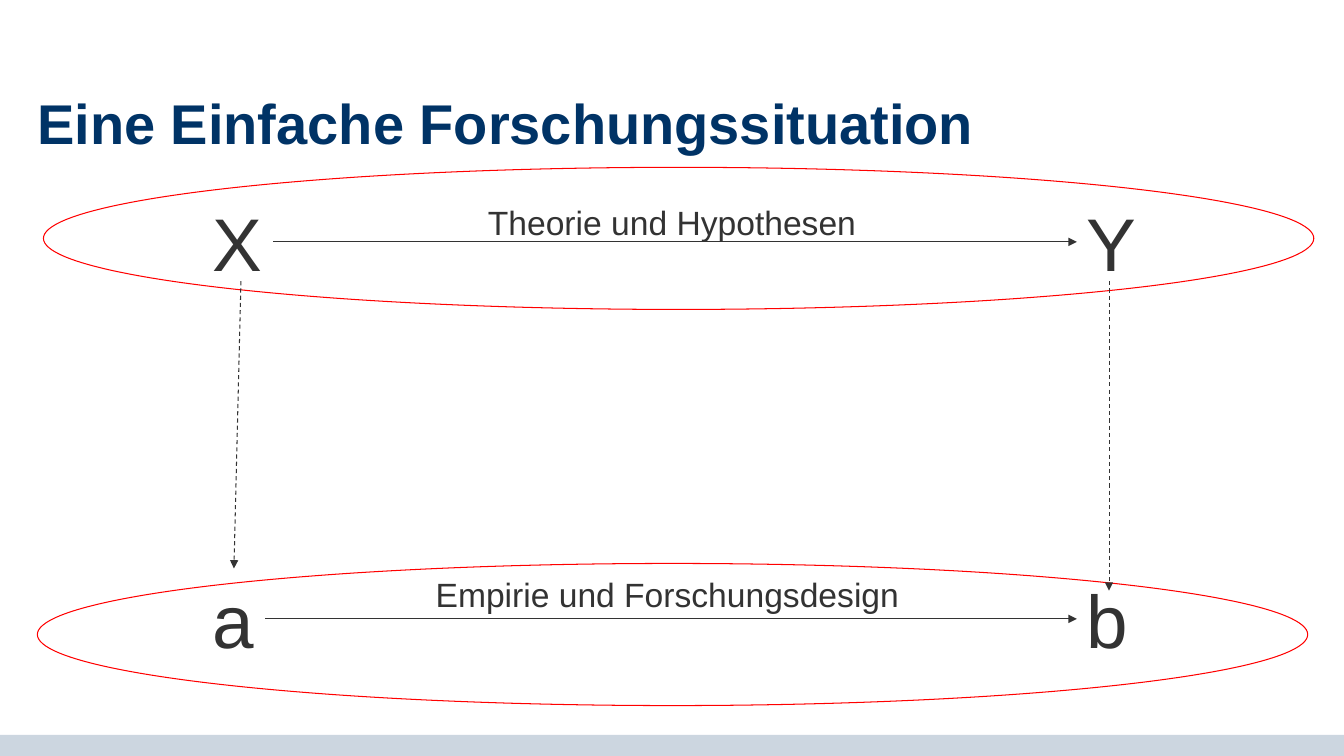
from lxml import etree
from pptx import Presentation, util as u
from pptx.dml.color import RGBColor
from pptx.enum import dml, shapes, text
from pptx.oxml import ns

color = RGBColor.from_string
INK, NAVY, RED, BAND = "333333", "003366", "FF0000", "CCD6E0"

presentation = Presentation()
presentation.slide_width = u.Inches(13.33)
presentation.slide_height = u.Inches(7.5)
slide = presentation.slides.add_slide(presentation.slide_layouts[6])


def place(*percents):
    """Turn x, y, x, y ... percentages of the slide's size into lengths."""
    sizes = (presentation.slide_width, presentation.slide_height) * 2
    return [u.Emu(round(size * percent / 100)) for size, percent in zip(sizes, percents)]


def write(content, box, size, hue=INK, align=text.PP_ALIGN.LEFT):
    shape = slide.shapes.add_textbox(*place(*box))
    shape.text_frame.word_wrap = True
    paragraph = shape.text_frame.paragraphs[0]
    paragraph.text = content
    paragraph.alignment = align
    paragraph.font.name = "Arial"
    paragraph.font.size = u.Pt(size)
    paragraph.font.color.rgb = color(hue)
    return shape


# Footer band
band = slide.shapes.add_shape(shapes.MSO_SHAPE.RECTANGLE, *place(0, 97.2, 100, 2.8))
band.shadow.inherit = False
band.fill.solid()
band.fill.fore_color.rgb = color(BAND)
band.line.fill.background()

# Title
title = write("Eine Einfache Forschungssituation", (2.78, 13.73, 94.52, 6.27), 40, NAVY)
frame = title.text_frame
frame.margin_left = frame.margin_top = frame.margin_right = frame.margin_bottom = 0
frame.vertical_anchor = text.MSO_ANCHOR.MIDDLE
frame.paragraphs[0].font.bold = True
frame.paragraphs[0].line_spacing = 0.85

# Levels: ellipse left and top, label and its top, two variables and their top, cause width
levels = [
    (3.23, 22.13, "Theorie und Hypothesen", 26, "X", "Y", 25.33, 5.25),
    (2.78, 74.53, "Empirie und Forschungsdesign ", 75.2, "a", "b", 75.2, 4.65),
]
arrows = []
causes = []
for left, top, label, label_top, cause, effect, row, cause_width in levels:
    ellipse = slide.shapes.add_shape(shapes.MSO_SHAPE.OVAL, *place(left, top, 94.52, 18.8))
    ellipse.shadow.inherit = False
    ellipse.fill.background()
    ellipse.line.color.rgb = color(RED)
    ellipse.line.width = u.Pt(0.75)
    write(label, (23.48, label_top, 53.04, 6.67), 24, align=text.PP_ALIGN.CENTER)
    cause_box = write(cause, (15.08, row, cause_width, 13.33), 53.3)
    cause_box.text_frame.word_wrap = False
    effect_box = write(effect, (80.12, row, 4.8, 13.33), 53.3)
    causes.append(cause_box)

    # Solid arrow from cause to effect
    middle = row + 13.33 / 2
    arrow = slide.shapes.add_connector(
        shapes.MSO_CONNECTOR.STRAIGHT, *place(15.08 + cause_width, middle, 80.12, middle))
    arrow.begin_connect(cause_box, 3)
    arrow.end_connect(effect_box, 1)
    arrows.append(arrow)

# Dashed arrows from theory down to measurement
for ends in [(17.93, 37.2, 17.4, 75.2), (82.52, 37.2, 82.52, 78.13)]:
    arrow = slide.shapes.add_connector(shapes.MSO_CONNECTOR.STRAIGHT, *place(*ends))
    arrow.line.dash_style = dml.MSO_LINE.DASH
    arrows.append(arrow)
arrows[2].end_connect(causes[1], 0)

# Common arrow style
for arrow in arrows:
    arrow.line.color.rgb = color(INK)
    arrow.line.width = u.Pt(0.75)
    etree.SubElement(arrow.line._get_or_add_ln(), ns.qn("a:tailEnd"), type="triangle")
    etree.SubElement(arrow._element.spPr, ns.qn("a:effectLst"))

presentation.save("out.pptx")
